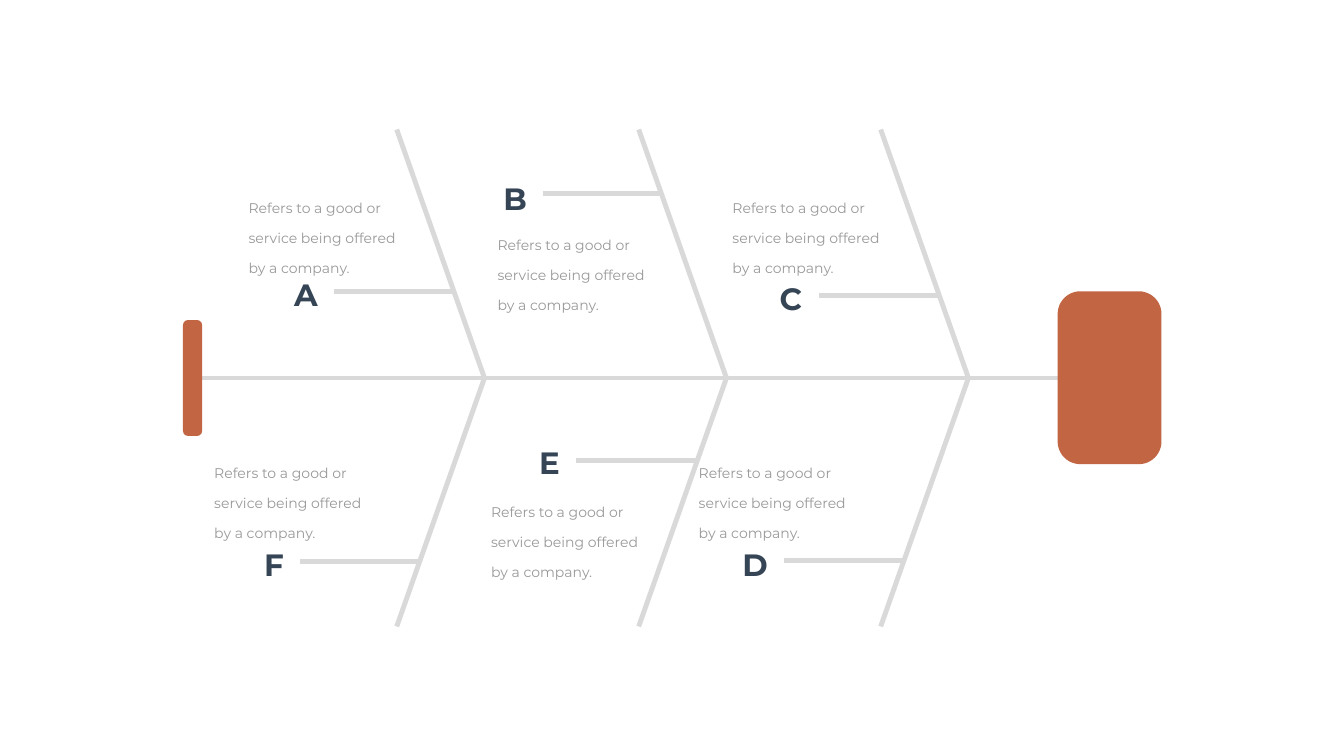
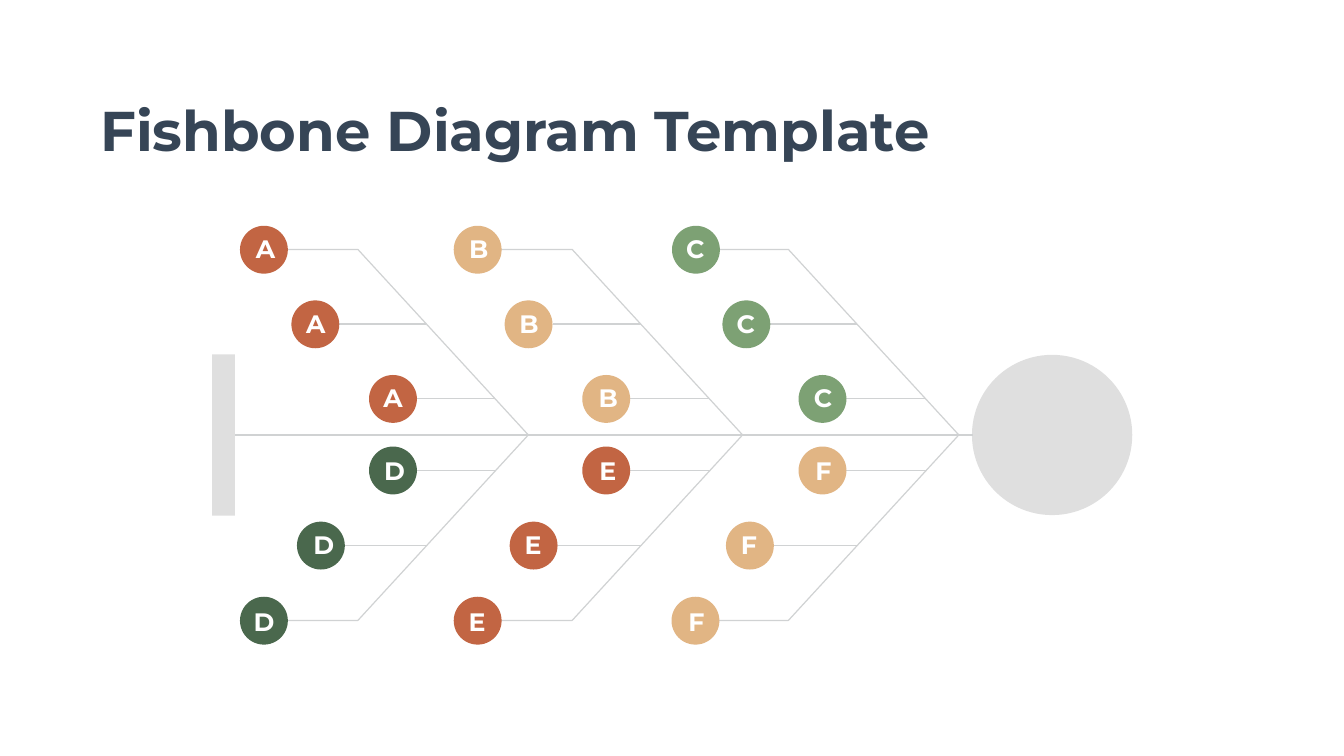
from lxml.etree import SubElement
from pptx import Presentation
from pptx.dml.color import RGBColor
from pptx.enum.shapes import MSO_CONNECTOR, MSO_SHAPE
from pptx.enum.text import MSO_AUTO_SIZE, PP_ALIGN
from pptx.oxml.ns import qn
from pptx.util import Pt

# Shared look; 100 px make one inch
PX = 9144
FONT = "Montserrat"
COLORS = {
    "navy": "364556", "text": "999999", "white": "FFFFFF",
    "thick_bone": "D9D9D9", "thin_bone": "D0D2D3", "gray": "808080",
    "rust": "C26543", "sand": "E1B584", "sage": "7DA174", "forest": "4A684D",
}
THICK = {"color": "thick_bone", "width": 7}
THIN = {"color": "thin_bone", "width": 1.73}
LABEL_W = 159


def rgb(name):
    return RGBColor.from_string(COLORS[name])


def add_text(slide, text, x, y, w, h, *, size, color, bold=False,
             align=PP_ALIGN.LEFT, wrap=True, margins=(10, 5), leading=None):
    box = slide.shapes.add_textbox(x * PX, y * PX, w * PX, h * PX)
    frame = box.text_frame
    frame.word_wrap = wrap
    frame.auto_size = MSO_AUTO_SIZE.SHAPE_TO_FIT_TEXT
    frame.margin_left = frame.margin_right = margins[0] * PX
    frame.margin_top = frame.margin_bottom = margins[1] * PX
    paragraph = frame.paragraphs[0]
    paragraph.alignment = align
    if leading:
        paragraph.line_spacing = Pt(leading)
    run = paragraph.add_run()
    run.text = text
    run.font.name = FONT
    run.font.size = Pt(size)
    run.font.bold = bold
    run.font.color.rgb = rgb(color)


def add_solid(slide, kind, x, y, w, h, color, *, radius=None, opacity=None):
    solid = slide.shapes.add_shape(kind, x * PX, y * PX, w * PX, h * PX)
    solid.shadow.inherit = False
    solid.fill.solid()
    solid.fill.fore_color.rgb = rgb(color)
    solid.line.fill.background()
    if radius is not None:
        solid.adjustments[0] = radius / min(w, h)
    if opacity is not None:
        tint = solid.fill._xPr.find(qn("a:solidFill"))[0]
        SubElement(tint, qn("a:alpha")).set("val", str(opacity * 1000))
    return solid


def style_line(line, color, width):
    line.color.rgb = rgb(color)
    line.width = Pt(width)


def add_rib(slide, x1, x2, y, look):
    rib = slide.shapes.add_connector(
        MSO_CONNECTOR.STRAIGHT, round(x1) * PX, y * PX, round(x2) * PX, y * PX)
    SubElement(rib._element.spPr, qn("a:effectLst"))
    style_line(rib.line, **look)
    return rib


def add_bone(slide, points, look):
    builder = slide.shapes.build_freeform(*points[0], scale=PX)
    builder.add_line_segments(points[1:], close=False)
    bone = builder.convert_to_shape()
    bone.shadow.inherit = False
    bone.fill.background()
    style_line(bone.line, **look)


def build_described_fishbone(slide):
    spine_y, reach, rise = 750, 174, 493
    description = "Refers to a good or service being offered by a company."

    # Spine and bones
    spine = add_rib(slide, 2157, 401, spine_y, THICK)
    for tip in (1921, 1441, 961):
        add_bone(slide, [(tip - reach, spine_y - rise), (tip, spine_y),
                         (tip - reach, spine_y + rise)], THICK)

    # Head and tail
    add_solid(slide, MSO_SHAPE.ROUNDED_RECTANGLE, 2098, 578, 206, 343, "rust", radius=45)
    tail = add_solid(slide, MSO_SHAPE.ROUNDED_RECTANGLE, 363, 635, 38, 230, "rust", radius=10)
    spine.end_connect(tail, 3)

    # Causes: letter, bone tip, rib height, letter place, description place
    causes = [
        ("A", 961, 578, (481, 543), (469, 357)),
        ("B", 1441, 384, (896, 352), (963, 431)),
        ("C", 1921, 586, (1442, 551), (1429, 357)),
        ("F", 961, 1114, (414, 1077), (401, 883)),
        ("E", 1441, 913, (961, 876), (950, 961)),
        ("D", 1921, 1113, (1374, 1077), (1362, 883)),
    ]
    for letter, tip, rib_y, letter_at, description_at in causes:
        bone_x = tip - reach * abs(rib_y - spine_y) / rise - 3
        add_rib(slide, bone_x, letter_at[0] + LABEL_W + 23, rib_y, THICK)
        add_text(slide, description, *description_at, 360, 197, size=20,
                 color="text", margins=(24, 12), leading=43)
        add_text(slide, letter, *letter_at, LABEL_W, 70, size=44,
                 color="navy", bold=True, align=PP_ALIGN.RIGHT)


def build_lettered_fishbone(slide):
    spine_y, reach, rise, circle = 863, 338, 368, 95
    upper = [(495, 457), (643, 606), (791, 754)]  # rib height, letter top
    lower = [(933, 898), (1082, 1046), (1231, 1198)]

    # Head, tail and spine
    add_solid(slide, MSO_SHAPE.OVAL, 1928, 704, 318, 318, "gray", opacity=25)
    tail = add_solid(slide, MSO_SHAPE.RECTANGLE, 421, 703, 45, 320, "gray", opacity=25)
    spine = add_rib(slide, 1930, 466, spine_y, THIN)
    spine.end_connect(tail, 3)

    # Bones: start beside the outer circles, elbow, tip on the spine
    for start, tip in ((570, 1048), (994, 1473), (1426, 1902)):
        elbow = tip - reach
        add_bone(slide, [(start, spine_y - rise), (elbow, spine_y - rise),
                         (tip, spine_y), (elbow, spine_y + rise),
                         (start, spine_y + rise)], THIN)

    # Causes: letter, colour, bone tip, rows, circle lefts, letter lefts
    causes = [
        ("A", "rust", 1048, upper, (476, 578, 732), (447, 547, 700)),
        ("B", "sand", 1473, upper, (900, 1001, 1155), (870, 970, 1127)),
        ("C", "sage", 1902, upper, (1333, 1433, 1584), (1300, 1400, 1553)),
        ("D", "forest", 1048, lower, (732, 589, 476), (703, 563, 444)),
        ("E", "rust", 1473, lower, (1155, 1011, 900), (1126, 978, 867)),
        ("F", "sand", 1902, lower, (1584, 1440, 1332), (1554, 1406, 1302)),
    ]
    for letter, color, tip, rows, circle_lefts, letter_lefts in causes:
        for (rib_y, letter_y), circle_x, letter_x in zip(rows, circle_lefts, letter_lefts):
            distance = abs(rib_y - spine_y)
            if distance < rise:
                add_rib(slide, tip - reach * distance / rise, circle_x + circle, rib_y, THIN)
            add_solid(slide, MSO_SHAPE.OVAL, circle_x, rib_y - 47, circle, circle, color)
            add_text(slide, letter, letter_x, letter_y, LABEL_W, 71, size=36,
                     color="white", bold=True, align=PP_ALIGN.CENTER)

    # Title
    add_text(slide, "Fishbone Diagram Template", 189, 185, 1671, 145, size=80,
             color="navy", bold=True, wrap=False)


def main():
    deck = Presentation()
    deck.slide_width = 2666 * PX
    deck.slide_height = 1500 * PX
    blank = deck.slide_layouts[6]
    for build in (build_described_fishbone, build_lettered_fishbone):
        build(deck.slides.add_slide(blank))
    deck.save("out.pptx")


if __name__ == "__main__":
    main()
